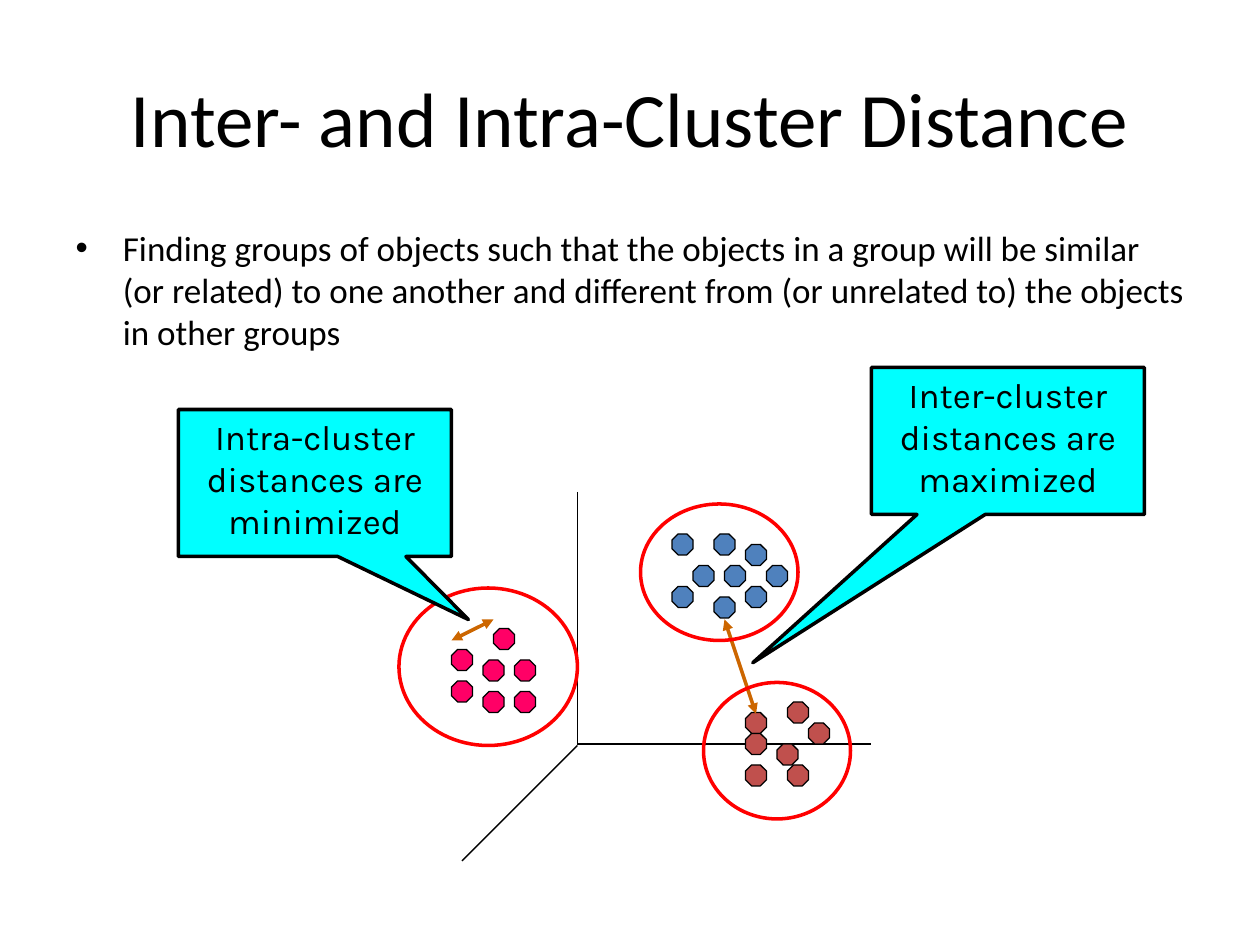
"""Build a slide on inter- and intra-cluster distance."""
import pptx
import pptx.dml.color
import pptx.enum.shapes
import pptx.enum.text
import pptx.oxml
import pptx.oxml.ns
import pptx.util

RGBColor = pptx.dml.color.RGBColor
SHAPE = pptx.enum.shapes.MSO_SHAPE
BLACK = RGBColor(0x00, 0x00, 0x00)
BLUE = RGBColor(0x4F, 0x81, 0xBD)
PINK = RGBColor(0xFF, 0x00, 0x66)
BRICK = RGBColor(0xC0, 0x50, 0x4D)
RED = RGBColor(0xFF, 0x00, 0x00)
ORANGE = RGBColor(0xCC, 0x66, 0x00)
CYAN = RGBColor(0x00, 0xFF, 0xFF)

prs = pptx.Presentation()
prs.slide_width = pptx.util.Inches(10)
prs.slide_height = pptx.util.Inches(7.5)
CELL = prs.slide_width // 120
s = prs.slides.add_slide(prs.slide_layouts[1])


def add_shape(kind, col, row, cols, rows, fill, line, width):
    sp = s.shapes.add_shape(kind, *[int(n * CELL) for n in (col, row, cols, rows)])
    sp.shadow.inherit = False
    if fill is None:
        sp.fill.background()
    else:
        sp.fill.solid()
        sp.fill.fore_color.rgb = fill
    sp.line.color.rgb = line
    sp.line.width = pptx.util.Pt(width)
    return sp


def add_line(start, end, color, width, arrows=False):
    cx = s.shapes.add_connector(
        pptx.enum.shapes.MSO_CONNECTOR.STRAIGHT, *[int(n * CELL) for n in start + end])
    cx.line.color.rgb = color
    cx.line.width = pptx.util.Pt(width)
    if arrows:
        ln = cx.line._get_or_add_ln()
        for tag in ("a:headEnd", "a:tailEnd"):
            ln.append(pptx.oxml.parse_xml(
                f'<{tag} {pptx.oxml.ns.nsdecls("a")} type="triangle"/>'))
    cx._element.spPr.append(pptx.oxml.parse_xml(
        f'<a:effectLst {pptx.oxml.ns.nsdecls("a")}/>'))


title, body = s.placeholders
texts = [
    (title, "Inter- and Intra-Cluster Distance", 44, (6, 3.6, 108, 15)),
    (body, "Finding groups of objects such that the objects in a group will be similar "
           "(or related) to one another and different from (or unrelated to) the objects "
           "in other groups", 20, (6, 21, 108, 14.9)),
]
for sp, text, size, box in texts:
    sp.left, sp.top, sp.width, sp.height = [int(n * CELL) for n in box]
    tf = sp.text_frame
    tf.text = text
    tf.auto_size = pptx.enum.text.MSO_AUTO_SIZE.NONE
    r = tf.paragraphs[0].runs[0]
    r.font.name = "Calibri"
    r.font.size = pptx.util.Pt(size)
    r.font.color.rgb = BLACK

origin = (55, 70.85)
add_line((55, 46.85), origin, BLACK, 0.75)
add_line(origin, (83, 70.85), BLACK, 0.75)
fb = s.shapes.build_freeform(*origin, scale=CELL)
fb.add_line_segments([(44.4, 82)], close=False)
axis = fb.convert_to_shape()
axis.shadow.inherit = False
axis.fill.background()
axis.line.color.rgb = BLACK
axis.line.width = pptx.util.Pt(0.75)

clusters = [
    (BLUE, [(66, 54), (69, 54), (68, 51), (68, 57), (73, 54),
            (71, 52), (64, 51), (71, 56), (64, 56)]),
    (PINK, [(43, 62), (46, 63), (46, 66), (49, 63), (47, 60), (49, 66), (43, 65)]),
    (BRICK, [(71, 68), (77, 69), (74, 71), (71, 73), (75, 73), (71, 70), (75, 67)]),
]
for color, dots in clusters:
    for col, row in dots:
        add_shape(SHAPE.OCTAGON, col, row - 0.15, 2, 2, color, BLACK, 0.75)

rings = [(38, 56, 17, 15), (61, 48, 15, 13), (67, 65, 14, 13)]
notes = [
    ("Inter-cluster distances are maximized", (83, 35), (-0.935, 1.509),
     (72, 68), (69, 59), []),
    ("Intra-cluster distances are minimized", (17, 39), (0.562, 0.929),
     (43, 61), (47, 59), rings),
]
for text, corner, tip, start, end, ellipses in notes:
    for ring in ellipses:
        add_shape(SHAPE.OVAL, *ring, None, RED, 2)
    add_line(start, end, ORANGE, 2, arrows=True)
    sp = add_shape(SHAPE.RECTANGULAR_CALLOUT, *corner, 26, 14, CYAN, BLACK, 2)
    sp.adjustments[0], sp.adjustments[1] = tip
    tf = sp.text_frame
    tf.text = text
    tf.word_wrap = True
    tf.vertical_anchor = pptx.enum.text.MSO_ANCHOR.TOP
    p = tf.paragraphs[0]
    p.alignment = pptx.enum.text.PP_ALIGN.CENTER
    r = p.runs[0]
    r.font.name = "Karla"
    r.font.size = pptx.util.Pt(20)
    r.font.color.rgb = BLACK

prs.save("out.pptx")
